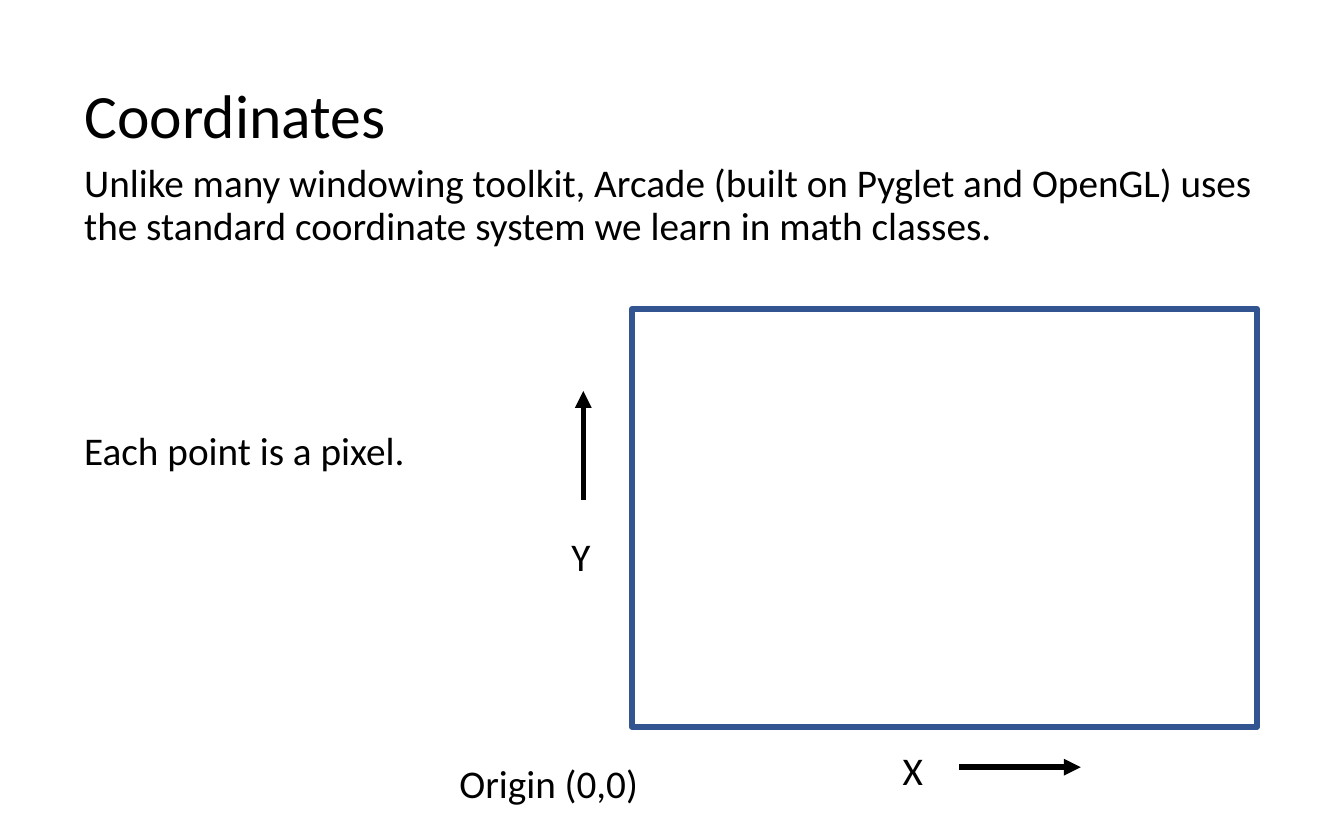
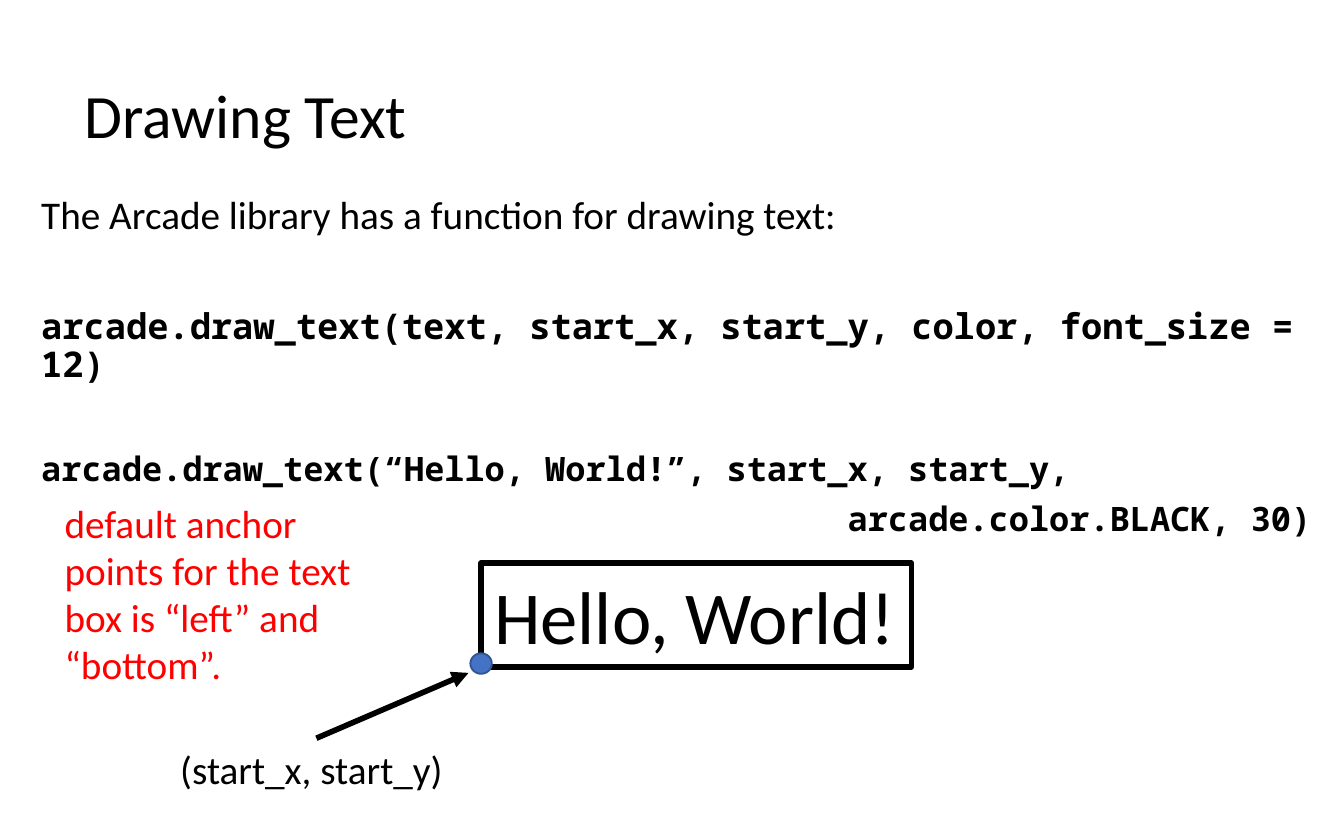
from pptx import Presentation
from pptx.dml.color import RGBColor
from pptx.enum.shapes import MSO_CONNECTOR, MSO_SHAPE
from pptx.enum.text import MSO_ANCHOR, MSO_AUTO_SIZE, PP_ALIGN
from pptx.oxml.ns import qn
from pptx.util import Pt
from lxml.etree import SubElement

BLACK = RGBColor(0x00, 0x00, 0x00)
RED = RGBColor(0xFF, 0x00, 0x00)
BLUE = RGBColor(0x44, 0x72, 0xC4)
NAVY = RGBColor(0x32, 0x54, 0x91)
FONT = "Calibri"
MONO = "Noto Sans Mono"


def write(p, text, size=21, font=FONT, color=BLACK, bold=False,
          spacing=None, before=0, indent=0):
    p.alignment = PP_ALIGN.LEFT
    p.space_before = Pt(before)
    if spacing:
        p.line_spacing = spacing
    if indent:
        pPr = p._p.get_or_add_pPr()
        pPr.set("marL", str(Pt(indent)))
        pPr.set("indent", "0")
    r = p.add_run()
    r.text = text
    r.font.size = Pt(size)
    r.font.name = font
    r.font.bold = bold
    r.font.color.rgb = color


class Deck:
    def __init__(self, width, height):
        self.prs = Presentation()
        self.prs.slide_width, self.prs.slide_height = Pt(width), Pt(height)
        self.s = None

    def slide(self, title):
        self.s = self.prs.slides.add_slide(self.prs.slide_layouts[5])
        sp = self.s.shapes.title
        sp.left, sp.top, sp.width, sp.height = Pt(38), Pt(36.5), Pt(555), Pt(54)
        tf = sp.text_frame
        tf.auto_size = MSO_AUTO_SIZE.NONE
        tf.vertical_anchor = MSO_ANCHOR.MIDDLE
        write(tf.paragraphs[0], title, size=33, spacing=0.9)

    def text(self, x, y, w, h, text, wrap=False, **fmt):
        tf = self.s.shapes.add_textbox(Pt(x), Pt(y), Pt(w), Pt(h)).text_frame
        tf.word_wrap = wrap
        write(tf.paragraphs[0], text, **fmt)

    def body(self, x, y, w, h, items):
        tf = self.s.shapes.add_textbox(Pt(x), Pt(y), Pt(w), Pt(h)).text_frame
        tf.word_wrap = True
        for i, (text, fmt) in enumerate(items):
            p = tf.add_paragraph() if i else tf.paragraphs[0]
            write(p, text, **{"spacing": 0.9, "before": 7.5, **fmt})

    def shape(self, kind, x, y, w, h, line, weight=3, fill=None, text=None, **fmt):
        sp = self.s.shapes.add_shape(kind, Pt(x), Pt(y), Pt(w), Pt(h))
        sp.shadow.inherit = False
        if fill is None:
            sp.fill.background()
        else:
            sp.fill.solid()
            sp.fill.fore_color.rgb = fill
        sp.line.color.rgb = line
        sp.line.width = Pt(weight)
        if text:
            tf = sp.text_frame
            tf.vertical_anchor = MSO_ANCHOR.TOP
            write(tf.paragraphs[0], text, **fmt)

    def arrow(self, x1, y1, x2, y2):
        cxn = self.s.shapes.add_connector(
            MSO_CONNECTOR.STRAIGHT, Pt(x1), Pt(y1), Pt(x2), Pt(y2))
        cxn.line.color.rgb = BLACK
        cxn.line.width = Pt(3)
        SubElement(cxn.line._get_or_add_ln(), qn("a:tailEnd"), type="triangle")
        SubElement(cxn._element.spPr, qn("a:effectLst"))


def coordinates(deck):
    deck.slide("Coordinates")
    deck.body(38, 84.25, 652.5, 363.5, [
        ("Unlike many windowing toolkit, Arcade (built on Pyglet and OpenGL) "
         "uses the standard coordinate system we learn in math classes.", {}),
        ("Each point is a pixel.", {"before": 98}),
    ])
    deck.shape(MSO_SHAPE.RECTANGLE, 338.5, 165.5, 335, 224, NAVY)
    deck.text(239, 403, 115, 32.5, "Origin (0,0)")
    deck.text(476.5, 396.5, 29.5, 32.5, "X")
    deck.text(299, 281.5, 27.5, 32.5, "Y")
    deck.arrow(312.5, 268, 312.5, 209.5)
    deck.arrow(514, 411, 579, 411)


def drawing_text(deck):
    code = {"font": MONO, "bold": True, "size": 18}
    deck.slide("Drawing Text")
    deck.body(15, 101, 697, 347, [
        ("The Arcade library has a function for drawing text:", {}),
        ("arcade.draw_text(text, start_x, start_y, color, font_size = 12)",
         {**code, "size": 19, "before": 38}),
        ("arcade.draw_text(“Hello, World!”, start_x, start_y,",
         {**code, "before": 36}),
        ("arcade.color.BLACK, 30)", {**code, "indent": 432}),
    ])
    deck.shape(MSO_SHAPE.RECTANGLE, 257.75, 301.75, 230.5, 55.5, BLACK,
               text="Hello, World!", size=40)
    deck.shape(MSO_SHAPE.OVAL, 252, 350, 11.5, 11, NAVY, weight=1, fill=BLUE)
    deck.text(89.5, 395.5, 160.5, 32.5, "(start_x, start_y)")
    deck.arrow(169.5, 395.5, 251, 360.5)
    deck.text(27.5, 264, 190, 109,
              "default anchor points for the text box is “left” and “bottom”.",
              wrap=True, color=RED)


def main():
    deck = Deck(720, 450)
    coordinates(deck)
    drawing_text(deck)
    deck.prs.save("out.pptx")


if __name__ == "__main__":
    main()
